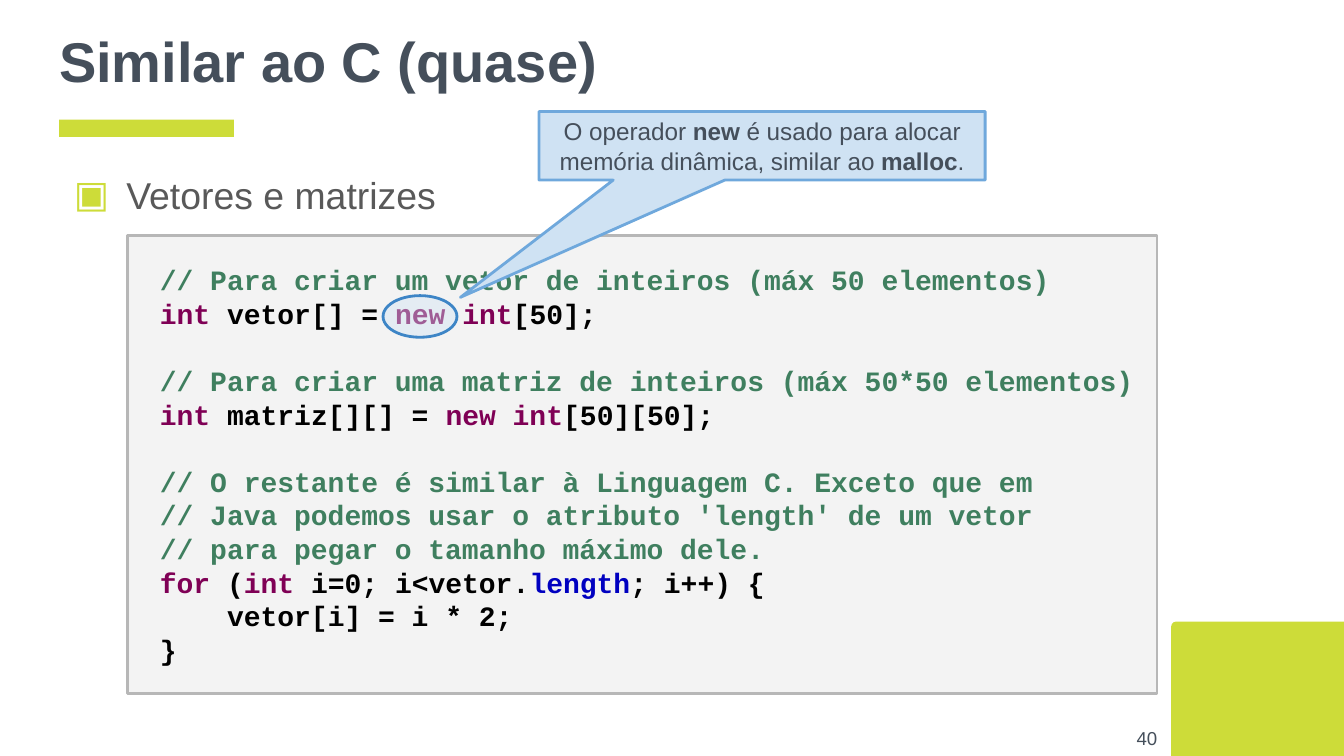
from dataclasses import dataclass

from lxml import etree
from pptx import Presentation
from pptx.dml.color import RGBColor
from pptx.enum.shapes import MSO_SHAPE
from pptx.enum.text import MSO_ANCHOR, MSO_AUTO_SIZE, PP_ALIGN
from pptx.oxml.ns import qn
from pptx.util import Inches, Pt

RECT, OVAL = MSO_SHAPE.RECTANGLE, MSO_SHAPE.OVAL
CORNER, CALLOUT = MSO_SHAPE.ROUND_1_RECTANGLE, MSO_SHAPE.ROUNDED_RECTANGULAR_CALLOUT
LEFT, CENTER, RIGHT = PP_ALIGN.LEFT, PP_ALIGN.CENTER, PP_ALIGN.RIGHT
MIDDLE, NO_FIT = MSO_ANCHOR.MIDDLE, MSO_AUTO_SIZE.NONE


@dataclass(frozen=True)
class Theme:
    # Colours
    accent: str = "CDDC39"
    ink: str = "454F5B"
    body: str = "595959"
    panel: str = "F3F3F3"
    panel_line: str = "B7B7B7"
    note: str = "CFE2F3"
    note_line: str = "6FA8DC"
    ring_line: str = "3D85C6"
    plain: str = "000000"
    comment: str = "3F7F5F"
    keyword: str = "7F0055"
    field: str = "0000C0"
    # Fonts and type sizes
    font: str = "Arial"
    mono: str = "Courier New"
    title_size: int = 30
    body_size: int = 20
    code_size: int = 15
    code_pitch: int = 18
    note_size: int = 13
    number_size: int = 10


def write(p, text, font, size, color, bold=False):
    """Add one formatted run to a paragraph."""
    r = p.add_run()
    r.text = text
    r.font.name, r.font.size, r.font.bold = font, Pt(size), bold
    r.font.color.rgb = RGBColor.from_string(color)


class SlideBuilder:
    """Holds the theme and the slide; boxes are (column, row, columns, rows)."""
    COLS, ROWS = 100, 56.25

    def __init__(self, prs, theme):
        self.theme = theme
        self.col, self.row = prs.slide_width / self.COLS, prs.slide_height / self.ROWS
        self.slide = prs.slides.add_slide(prs.slide_layouts[1])

    def cells(self, box):
        x, y, w, h = box
        return [int(v) for v in (x * self.col, y * self.row, w * self.col, h * self.row)]

    def frame(self, sp, inset=(0.1, 0.1), align=LEFT):
        """Prepare a text frame and return its first paragraph."""
        tf = sp.text_frame
        tf.word_wrap, tf.auto_size, tf.vertical_anchor = True, NO_FIT, MIDDLE
        tf.margin_left = tf.margin_right = Inches(inset[0])
        tf.margin_top = tf.margin_bottom = Inches(inset[1])
        p = tf.paragraphs[0]
        p.alignment = align
        return p

    def placeholder(self, idx, box):
        sp = self.slide.placeholders[idx]
        sp.left, sp.top, sp.width, sp.height = self.cells(box)
        return self.frame(sp)

    def title(self, text, box):
        t = self.theme
        write(self.placeholder(0, box), text, t.font, t.title_size, t.ink, True)

    def bullet(self, text, box):
        t = self.theme
        p = self.placeholder(1, box)
        p.line_spacing, p.space_before = 1.15, Pt(0)
        pPr = p._p.get_or_add_pPr()
        pPr.set("marL", str(Inches(0.5)))
        pPr.set("indent", str(Inches(-0.39)))
        color = etree.SubElement(pPr, qn("a:buClr"))
        etree.SubElement(color, qn("a:srgbClr"), val=t.accent)
        etree.SubElement(pPr, qn("a:buChar"), char="▣")
        write(p, text, t.font, t.body_size, t.body)

    def shape(self, kind, box, fill, line=None, width=1.5, adj=(), alpha=None):
        sp = self.slide.shapes.add_shape(kind, *self.cells(box))
        sp.shadow.inherit = False
        for i, value in enumerate(adj):
            sp.adjustments[i] = value
        sp.fill.solid()
        sp.fill.fore_color.rgb = RGBColor.from_string(fill)
        if alpha:
            color = sp._element.spPr.find(qn("a:solidFill"))[0]
            etree.SubElement(color, qn("a:alpha"), val=str(alpha * 1000))
        if line:
            sp.line.color.rgb = RGBColor.from_string(line)
            sp.line.width = Pt(width)
        else:
            sp.line.fill.background()
        return sp

    def number(self, text, box):
        t = self.theme
        sp = self.slide.shapes.add_textbox(*self.cells(box))
        write(self.frame(sp, align=RIGHT), text, t.font, t.number_size, t.ink)

    def code(self, blocks, box):
        """Draw a panel of code; blocks of lines are one empty line apart."""
        t = self.theme
        sp = self.shape(RECT, box, t.panel, t.panel_line, 1.44)
        p = self.frame(sp, (0.11, 0.06))
        sp.text_frame.margin_left = Inches(0.24)
        for b, block in enumerate(blocks):
            for n, (level, *runs) in enumerate(block):
                if b or n:
                    p = sp.text_frame.add_paragraph()
                p.alignment, p.line_spacing = LEFT, Pt(t.code_pitch)
                p.space_before = Pt(t.code_pitch if b and not n else 0)
                p._p.get_or_add_pPr().set("marL", str(Inches(0.5 * level)))
                for text, color in runs:
                    write(p, text, t.mono, t.code_size, color, True)

    def callout(self, runs, box, tip):
        t = self.theme
        sp = self.shape(CALLOUT, box, t.note, t.note_line, adj=(*tip, 0))
        p = self.frame(sp, align=CENTER)
        for text, bold in runs:
            write(p, text, t.font, t.note_size, t.ink, bold)


def main():
    prs = Presentation()
    prs.slide_width = Inches(10)
    prs.slide_height = prs.slide_width * 9 // 16
    t = Theme()
    s = SlideBuilder(prs, t)

    # Corner block and title rule
    s.shape(CORNER, (88.6, 44.8, 10.1, 13), t.accent, adj=(0.034,)).rotation = 270
    s.shape(RECT, (4.4, 8.9, 13, 1.3), t.accent)

    # Title, list and slide number
    s.title("Similar ao C (quase)", (3.4, 0, 93.2, 8.9))
    s.bullet("Vetores e matrizes", (3.4, 11, 49.2, 6.5))
    s.number("40", (81.1, 52.8, 6, 4.3))

    # Code panel: each line is its indent level and its coloured runs
    def comment(text):
        return 0, ("// " + text, t.comment)

    def declare(name, size):
        return (0, ("int", t.keyword), (f" {name} = ", t.plain),
                ("new int", t.keyword), (f"{size};", t.plain))

    s.code([
        [comment("Para criar um vetor de inteiros (máx 50 elementos)"),
         declare("vetor[]", "[50]")],
        [comment("Para criar uma matriz de inteiros (máx 50*50 elementos)"),
         declare("matriz[][]", "[50][50]")],
        [comment("O restante é similar à Linguagem C. Exceto que em"),
         comment("Java podemos usar o atributo 'length' de um vetor"),
         comment("para pegar o tamanho máximo dele."),
         (0, ("for", t.keyword), (" (", t.plain), ("int", t.keyword),
          (" i=0; i<vetor.", t.plain), ("length", t.field), ("; i++) {", t.plain)),
         (1, ("vetor[i] = i * 2;", t.plain)),
         (0, ("}", t.plain))],
    ], (9.5, 17.5, 76.6, 34.1))

    # Ring around the operator and its explanation
    s.shape(OVAL, (28.5, 22, 5.5, 3.1), t.note, t.ring_line, alpha=41)
    s.callout([("O operador ", False), ("new", True),
               (" é usado para alocar memória dinâmica, similar ao ", False),
               ("malloc", True), (".", False)],
              (40.1, 8.3, 33.2, 5.1), (-0.676, 2.212))

    prs.save("out.pptx")


if __name__ == "__main__":
    main()
